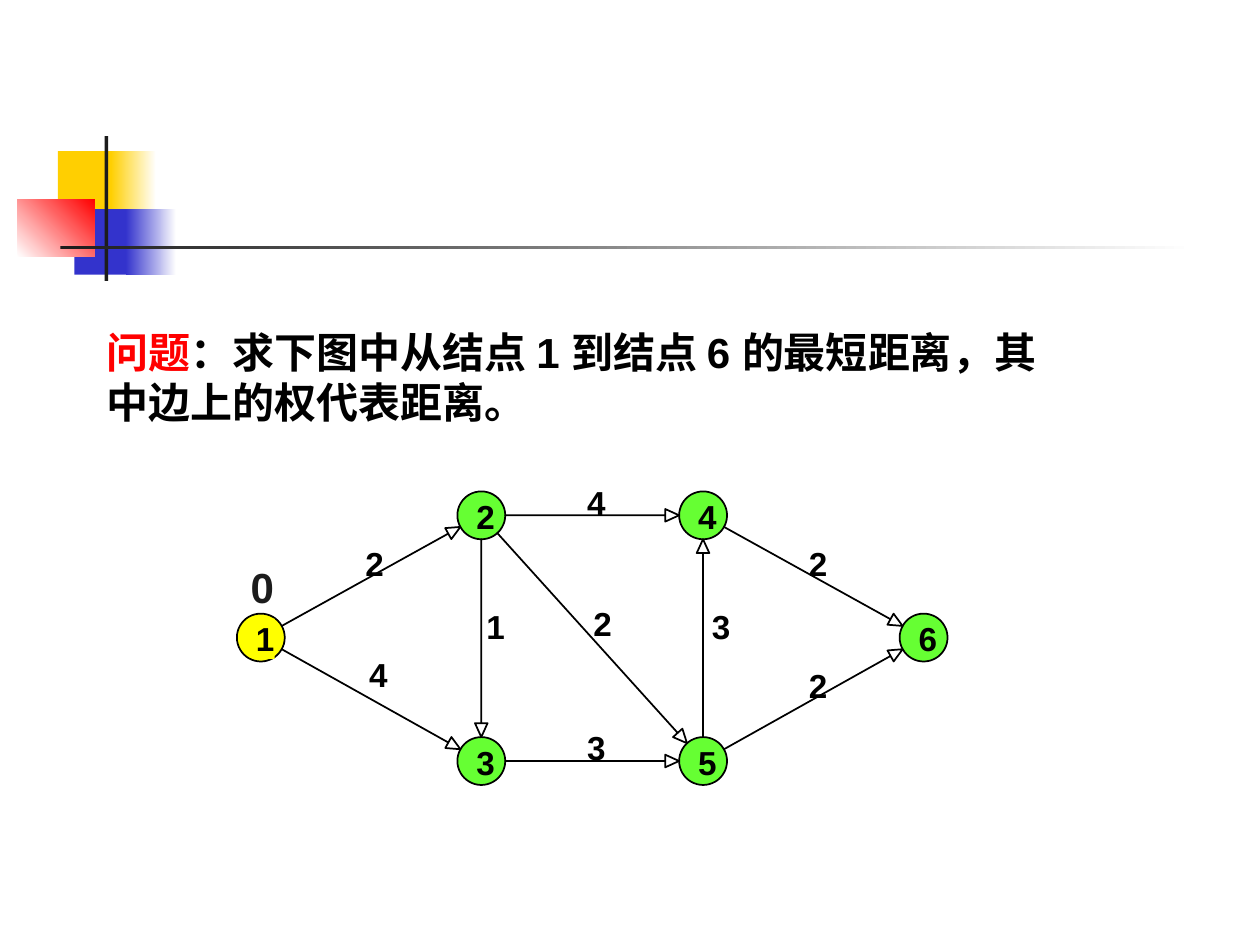
from math import hypot

from pptx import Presentation
from pptx.dml.color import RGBColor
from pptx.enum.shapes import MSO_SHAPE
from pptx.enum.text import MSO_ANCHOR, PP_ALIGN
from pptx.util import Inches, Pt


def tint(code):
    """Turn a hex string into a colour."""
    return RGBColor.from_string(code)


def apply(item, values):
    """Set each attribute of an item from a dict."""
    for key, value in values.items():
        setattr(item, key, value)


class Graph:
    """Hold the style and the current slide of a weighted graph."""

    ink, dark, red, white = "000000", "1C1C1C", "FF0000", "FFFFFF"
    radius, barb, wing = 0.19, 0.11, 0.05
    small = {"name": "Arial", "size": Pt(19), "bold": True}
    large = {"name": "Arial", "size": Pt(24), "bold": True}

    def __init__(self, slide):
        """Keep the shapes of the slide."""
        self.shapes = slide.shapes

    def block(self, box, code, kind=MSO_SHAPE.RECTANGLE):
        """Add a plain filled shape."""
        shape = self.shapes.add_shape(kind, *map(Inches, box))
        shape.shadow.inherit = False
        shape.fill.solid()
        shape.fill.fore_color.rgb = tint(code)
        shape.line.fill.background()
        return shape

    def fade(self, box, first, last, angle=0):
        """Add a block with a two-colour gradient."""
        fill = self.block(box, first).fill
        fill.gradient()
        fill.gradient_angle = angle
        for stop, code in zip(fill.gradient_stops, (first, last)):
            stop.color.rgb = tint(code)

    def edge(self, shape):
        """Give a shape the thin black outline."""
        shape.line.color.rgb = tint(self.ink)
        shape.line.width = Pt(1)

    def letter(self, shape, runs, font, pad=(0, 0), wrap=False):
        """Fill a shape with coloured runs."""
        side, top = map(Inches, pad)
        frame = shape.text_frame
        apply(frame, {
            "word_wrap": wrap, "vertical_anchor": MSO_ANCHOR.TOP,
            "margin_left": side, "margin_right": side,
            "margin_top": top, "margin_bottom": top,
        })
        line = frame.paragraphs[0]
        line.alignment = PP_ALIGN.LEFT
        for text, code in runs:
            run = line.add_run()
            run.text = text
            apply(run.font, font)
            run.font.color.rgb = tint(code)

    def label(self, x, y, text, back=None):
        """Add a small figure, on a filled ground if one is given."""
        box = (x, y, 0.15, 0.32)
        if back:
            shape = self.block(box, back)
        else:
            shape = self.shapes.add_textbox(*map(Inches, box))
        self.letter(shape, [(text, self.ink)], self.small)

    def note(self, box, runs):
        """Add a large wrapped text."""
        shape = self.shapes.add_textbox(*map(Inches, box))
        self.letter(shape, runs, self.large, (0.1, 0.05), True)

    def node(self, x, y, text, code, back=None):
        """Add a numbered circle around a centre."""
        size = 2 * self.radius
        box = (x - self.radius, y - self.radius, size, size)
        self.edge(self.block(box, code, MSO_SHAPE.OVAL))
        self.label(x - 0.04, y - 0.15, text, back)

    def arrow(self, start, end):
        """Add an open-headed arrow between the rims of two nodes."""
        dx, dy = end[0] - start[0], end[1] - start[1]
        span = hypot(dx, dy)
        ux, uy = dx / span, dy / span

        def spot(along, across=0):
            """Find a point along and beside the arrow."""
            return (Inches(start[0] + along * ux - across * uy),
                    Inches(start[1] + along * uy + across * ux))

        tip = span - self.radius
        neck = tip - self.barb
        pen = self.shapes.build_freeform(*spot(self.radius))
        pen.add_line_segments([
            spot(neck), spot(neck, self.wing), spot(tip),
            spot(neck, -self.wing), spot(neck),
        ], close=True)
        shape = pen.convert_to_shape()
        shape.shadow.inherit = False
        shape.fill.background()
        self.edge(shape)


def main():
    """Build and save the slide."""
    deck = Presentation()
    apply(deck, {"slide_width": Inches(10), "slide_height": Inches(7.5)})
    graph = Graph(deck.slides.add_slide(deck.slide_layouts[6]))

    gold, blue, green, yellow = "FFCF01", "3333CC", "66FF33", "FFFF00"
    graph.block((0.46, 1.2, 0.48, 0.52), gold)
    graph.fade((0.88, 1.2, 0.36, 0.52), gold, graph.white)
    graph.block((0.59, 1.66, 0.46, 0.52), blue)
    graph.fade((1, 1.66, 0.4, 0.52), blue, graph.white)
    graph.fade((0.14, 1.58, 0.61, 0.46), graph.white, graph.red, 45)
    graph.block((0.83, 1.08, 0.03, 1.15), graph.dark)
    graph.fade((0.48, 1.95, 9, 0.03), graph.dark, graph.white)

    cols, rows = (2.07, 3.82, 5.58, 7.33), (4.09, 5.06, 6.04)
    places = {
        "1": (cols[0], rows[1]), "2": (cols[1], rows[0]),
        "3": (cols[1], rows[2]), "4": (cols[2], rows[0]),
        "5": (cols[2], rows[2]), "6": (cols[3], rows[1]),
    }
    for name, (x, y) in places.items():
        first = name == "1"
        graph.node(x, y, name, yellow if first else green,
                   yellow if first else None)

    edges = [
        ("1", "2", "2", 2.9, 4.31), ("2", "4", "4", 4.66, 3.83),
        ("2", "5", "2", 4.71, 4.79), ("2", "3", "1", 3.86, 4.81),
        ("3", "5", "3", 4.66, 5.77), ("1", "3", "4", 2.93, 5.19),
        ("4", "6", "2", 6.42, 4.31), ("5", "4", "3", 5.65, 4.81),
        ("5", "6", "2", 6.42, 5.28),
    ]
    for start, end, weight, x, y in edges:
        graph.arrow(places[start], places[end])
        graph.label(x, y, weight)

    graph.note((1.89, 4.41, 0.42, 0.5), [("0", graph.dark)])
    graph.note((0.75, 2.54, 7.72, 0.9), [
        ("问题", graph.red),
        ("：求下图中从结点 1 到结点 6 的最短距离，其中边上的权代表距离。", graph.ink),
    ])
    deck.save("out.pptx")


if __name__ == "__main__":
    main()
